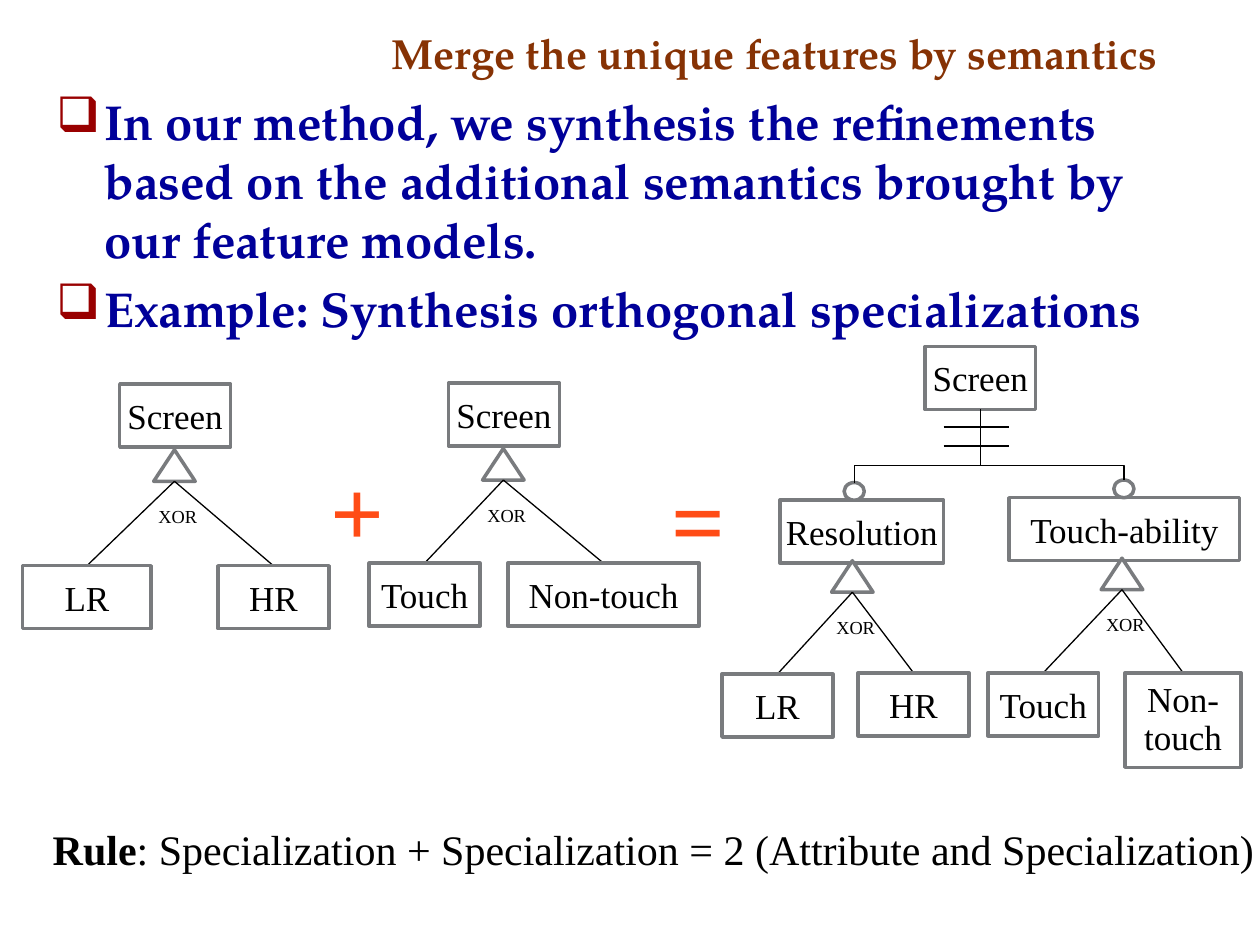
from dataclasses import dataclass

from lxml.etree import SubElement
from pptx import Presentation
from pptx.dml.color import RGBColor
from pptx.enum.shapes import MSO_CONNECTOR as CONN, MSO_SHAPE as SHAPE
from pptx.enum.text import MSO_ANCHOR as ANCHOR, MSO_AUTO_SIZE as AUTO, PP_ALIGN as ALIGN
from pptx.oxml.ns import qn
from pptx.util import Inches, Pt


@dataclass(frozen=True)
class Theme:
    head: str = "TeX Gyre Pagella"
    body: str = "Times New Roman"
    title: str = "863204"
    bullet: str = "990000"
    point: str = "000099"
    operator: str = "FF4C16"
    ink: str = "000000"
    edge: str = "797B7E"
    paper: str = "FFFFFF"
    rule_pt: float = 24
    point_pt: float = 28
    operator_pt: float = 54
    node_pt: float = 20
    xor_pt: float = 10.5
    edge_pt: float = 2
    wire_pt: float = 0.75


T = Theme()
NODE_W, NODE_H = 0.88, 0.5
TRI_W, TRI_H = 0.33, 0.25
DOT_W, DOT_H = 0.16, 0.14
INDENT = 0.38

TITLE = "Merge the unique features by semantics"
POINTS = [
    "In our method, we synthesis the refinements based on the additional semantics brought by our feature models.",
    "Example: Synthesis orthogonal specializations",
]
RULE = [("Rule", True), (": Specialization + Specialization = 2 (Attribute and Specialization)", False)]
OPERATORS = [("+", 2.52, 3.54), ("=", 5.23, 3.61)]
ROOT = ("Screen", 7.34, 2.75)
BARS = [3.39, 3.54]
BAR_LEFT, BAR_RIGHT = 7.49, 8.01
TREES = [
    dict(parent=("Screen", 0.95, 3.05), tri=(1.22, 3.57),
         leaves=[("LR", 0.18, 4.49, 1.02), ("HR", 1.73, 4.49)]),
    dict(parent=("Screen", 3.56, 3.04), tri=(3.83, 3.56),
         leaves=[("Touch", 2.93, 4.47), ("Non-touch", 4.03, 4.47, 1.52)]),
    dict(parent=("Resolution", 6.19, 3.97, 1.3), tri=(6.6, 4.45), dot=6.78, bend=0.768,
         leaves=[("LR", 5.73, 5.35), ("HR", 6.81, 5.34)]),
    dict(parent=("Touch-ability", 8.01, 3.95, 1.83), tri=(8.74, 4.43), dot=8.92, bend=0.79,
         leaves=[("Touch", 7.84, 5.34), ("Non-touch", 8.93, 5.34, 0.92, 0.75)]),
]


def rgb(code):
    return RGBColor.from_string(code)


def write(p, text, size, color=T.ink, font=T.body, bold=False, align=ALIGN.LEFT):
    p.alignment = align
    r = p.add_run()
    r.text = text
    f = r.font
    f.name, f.size, f.bold = font, Pt(size), bold
    f.color.rgb = rgb(color)


def add_box(s, left, top, width, height, wrap=False):
    tf = s.shapes.add_textbox(*map(Inches, (left, top, width, height))).text_frame
    tf.word_wrap = wrap
    return tf


def add_outline(s, kind, left, top, width, height):
    sp = s.shapes.add_shape(kind, *map(Inches, (left, top, width, height)))
    sp.shadow.inherit = False
    sp.fill.solid()
    sp.fill.fore_color.rgb = rgb(T.paper)
    sp.line.color.rgb = rgb(T.edge)
    sp.line.width = Pt(T.edge_pt)
    return sp


def add_node(s, text, left, top, width=NODE_W, height=NODE_H):
    sp = add_outline(s, SHAPE.RECTANGLE, left, top, width, height)
    tf = sp.text_frame
    tall = height > NODE_H
    tf.word_wrap, tf.vertical_anchor = tall, ANCHOR.MIDDLE
    if tall:
        tf.paragraphs[0].line_spacing = 0.9
    write(tf.paragraphs[0], text, T.node_pt, align=ALIGN.CENTER)
    return sp


def add_wire(s, x1, y1, x2, y2, kind=CONN.STRAIGHT):
    c = s.shapes.add_connector(kind, *map(Inches, (x1, y1, x2, y2)))
    c.line.color.rgb = rgb(T.ink)
    c.line.width = Pt(T.wire_pt)
    SubElement(c._element.spPr, qn("a:effectLst"))
    return c


def add_drop(s, x1, y1, x2, y2, bend):
    """Add an elbow that leaves downwards, as a rotated horizontal elbow."""
    cx, cy = (x1 + x2) / 2, (y1 + y2) / 2
    half_w, half_h = (y2 - y1) / 2, abs(x2 - x1) / 2
    side = 1 if x2 < x1 else -1
    c = add_wire(s, cx - side * half_w, cy - half_h, cx + side * half_w, cy + half_h, CONN.ELBOW)
    spPr = c._element.spPr
    spPr.find(qn("a:xfrm")).set("rot", str((90 if side > 0 else 270) * 60000))
    av = spPr.find(qn("a:prstGeom")).get_or_add_avLst()
    SubElement(av, qn("a:gd"), name="adj1", fmla=f"val {round(bend * 100000)}")


def add_tree(s, parent, tri, leaves, dot=None, bend=None):
    add_node(s, *parent)
    left, top = tri
    add_outline(s, SHAPE.ISOSCELES_TRIANGLE, left, top, TRI_W, TRI_H)
    x, y = left + TRI_W / 2, top + TRI_H
    for leaf in leaves:
        add_wire(s, x, y, leaf[1], leaf[2]).end_connect(add_node(s, *leaf), 0)
    tf = add_box(s, left - 0.06, top + 0.39, 0.53, 0.29)
    write(tf.paragraphs[0], "XOR", T.xor_pt)
    if dot:
        dot_top = parent[2] - DOT_H
        add_outline(s, SHAPE.OVAL, dot - DOT_W / 2, dot_top, DOT_W, DOT_H)
        add_drop(s, ROOT[1] + NODE_W / 2, ROOT[2] + NODE_H, dot, dot_top, bend)


def add_points(s):
    tf = add_box(s, 0.35, 0.68, 9.23, 5.82, wrap=True)
    for i, text in enumerate(POINTS):
        p = tf.add_paragraph() if i else tf.paragraphs[0]
        pPr = p._p.get_or_add_pPr()
        pPr.set("marL", str(Inches(INDENT)))
        pPr.set("indent", str(-Inches(INDENT)))
        SubElement(SubElement(pPr, qn("a:buClr")), qn("a:srgbClr"), val=T.bullet)
        SubElement(pPr, qn("a:buChar"), char="❑")
        if i:
            p.space_before = Pt(T.point_pt * 0.2)
        write(p, text, T.point_pt, color=T.point, font=T.head, bold=True)


def main():
    prs = Presentation()
    prs.slide_width, prs.slide_height = Inches(10), Inches(7.5)
    s = prs.slides.add_slide(prs.slide_layouts[5])
    title = s.shapes.title
    title.left, title.top, title.width, title.height = map(Inches, (3.01, 0.17, 6.84, 0.5))
    tf = title.text_frame
    tf.vertical_anchor, tf.auto_size = ANCHOR.BOTTOM, AUTO.NONE
    write(tf.paragraphs[0], TITLE, T.rule_pt, color=T.title, font=T.head, bold=True)
    add_points(s)
    for text, left, top in OPERATORS:
        tf = add_box(s, left, top, 0.63, 1.01)
        write(tf.paragraphs[0], text, T.operator_pt, color=T.operator, bold=True, align=ALIGN.CENTER)
    tf = add_box(s, 0.32, 6.49, 9.78, 0.5)
    for text, bold in RULE:
        write(tf.paragraphs[0], text, T.rule_pt, bold=bold)
    add_node(s, *ROOT)
    for y in BARS:
        add_wire(s, BAR_LEFT, y, BAR_RIGHT, y)
    for tree in TREES:
        add_tree(s, **tree)
    prs.save("out.pptx")


if __name__ == "__main__":
    main()
